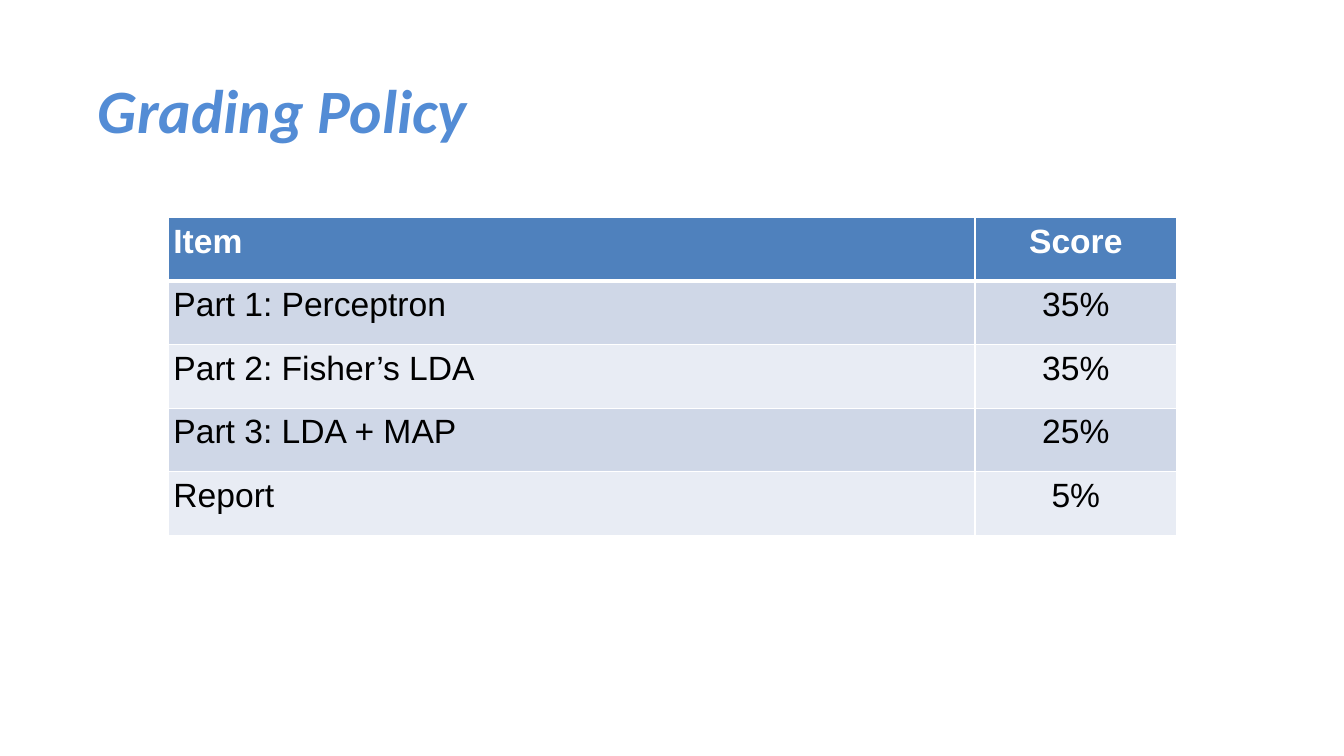
from lxml import etree
from pptx import Presentation
from pptx.dml.color import RGBColor
from pptx.enum.text import MSO_ANCHOR, PP_ALIGN
from pptx.oxml.ns import qn
from pptx.util import Inches, Pt

LEFT, CENTER = PP_ALIGN.LEFT, PP_ALIGN.CENTER
TOP, MIDDLE = MSO_ANCHOR.TOP, MSO_ANCHOR.MIDDLE
TITLE_ONLY = 5

GRADES = [
    ("Item", "Score"),
    ("Part 1: Perceptron", "35%"),
    ("Part 2: Fisher’s LDA", "35%"),
    ("Part 3: LDA + MAP", "25%"),
    ("Report", "5%"),
]


def color(hex_string):
    return RGBColor.from_string(hex_string)


def set_margins(target):
    """Give a text frame or table cell the same narrow margin on all sides."""
    target.margin_left = target.margin_right = Inches(0.05)
    target.margin_top = target.margin_bottom = Inches(0.05)


def set_borders(cell, widths, hex_string):
    """Draw cell borders; widths are points for left, right, top and bottom."""
    properties = cell._tc.get_or_add_tcPr()
    for index, (side, width) in enumerate(zip("LRTB", widths)):
        line = etree.Element(qn(f"a:ln{side}"), w=str(Pt(width)))
        fill = etree.SubElement(line, qn("a:solidFill"))
        etree.SubElement(fill, qn("a:srgbClr"), val=hex_string)
        properties.insert(index, line)


class SlideBuilder:
    title_font, title_size, title_color = "Calibri", 44, "538CD5"
    table_font, table_size = "Arial", 24
    header_fill, band_fills = "4F81BD", ("E8ECF4", "CFD7E7")
    header_color, body_color, border_color = "FFFFFF", "000000", "FFFFFF"

    def __init__(self, slide):
        self.slide = slide

    def style_font(self, paragraph, name, size, hex_string, bold, italic=False):
        font = paragraph.font
        font.name, font.size = name, Pt(size)
        font.bold, font.italic = bold, italic
        font.color.rgb = color(hex_string)

    def add_title(self, text, left, top, width, height):
        title = self.slide.shapes.title
        title.left, title.top = Inches(left), Inches(top)
        title.width, title.height = Inches(width), Inches(height)
        frame = title.text_frame
        frame.text = text
        frame.vertical_anchor = MIDDLE
        set_margins(frame)
        paragraph = frame.paragraphs[0]
        paragraph.alignment = LEFT
        paragraph.line_spacing = 0.9
        self.style_font(paragraph, self.title_font, self.title_size,
                        self.title_color, bold=True, italic=True)

    def add_table(self, rows, left, top, column_widths, row_height):
        table = self.slide.shapes.add_table(
            len(rows), len(column_widths), Inches(left), Inches(top),
            Inches(sum(column_widths)), Inches(row_height * len(rows))).table
        for column, width in zip(table.columns, column_widths):
            column.width = Inches(width)
        for row_index, texts in enumerate(rows):
            table.rows[row_index].height = Inches(row_height)
            for column_index, text in enumerate(texts):
                self.fill_cell(table.cell(row_index, column_index), text,
                               row_index, LEFT if column_index == 0 else CENTER)

    def fill_cell(self, cell, text, row_index, alignment):
        header = row_index == 0
        cell.text = text
        cell.vertical_anchor = TOP
        set_margins(cell)
        cell.fill.solid()
        cell.fill.fore_color.rgb = color(
            self.header_fill if header else self.band_fills[row_index % 2])
        widths = (1, 1, 3 if row_index == 1 else 1, 3 if header else 1)
        set_borders(cell, widths, self.border_color)
        paragraph = cell.text_frame.paragraphs[0]
        paragraph.alignment = alignment
        self.style_font(paragraph, self.table_font, self.table_size,
                        self.header_color if header else self.body_color,
                        bold=header)


def main():
    presentation = Presentation()
    presentation.slide_width = Inches(13.33)
    presentation.slide_height = Inches(7.5)
    layout = presentation.slide_layouts[TITLE_ONLY]
    builder = SlideBuilder(presentation.slides.add_slide(layout))
    builder.add_title("Grading Policy", 0.92, 0.4, 11.5, 1.45)
    builder.add_table(GRADES, 1.67, 2.16, (8, 2), 0.63)
    presentation.save("out.pptx")


if __name__ == "__main__":
    main()
